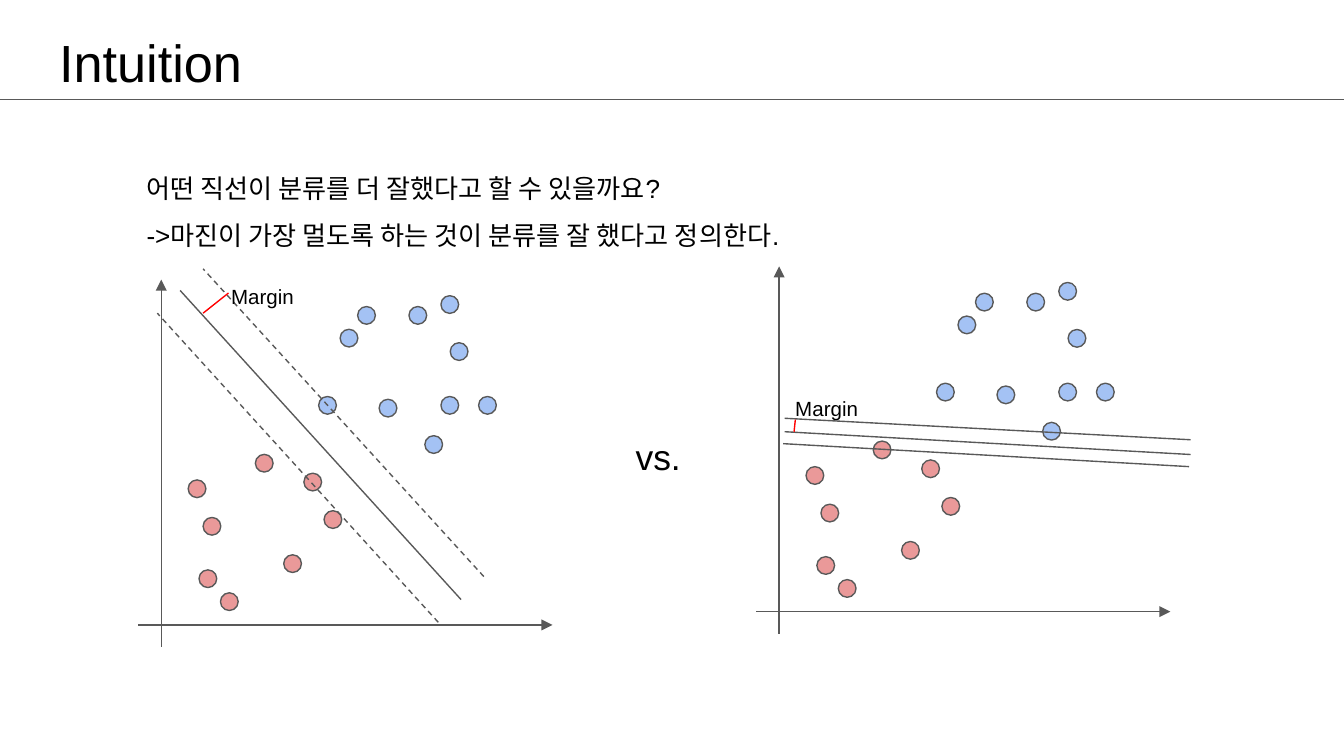
from lxml.etree import SubElement
from pptx import Presentation
from pptx.dml.color import RGBColor
from pptx.enum.dml import MSO_LINE
from pptx.enum.shapes import MSO_CONNECTOR, MSO_SHAPE
from pptx.enum.text import MSO_ANCHOR, MSO_AUTO_SIZE, PP_ALIGN
from pptx.oxml.ns import qn
from pptx.util import Pt

COLORS = {
    "text": "000000",
    "line": "595959",
    "blue": "A4C2F4",
    "red": "EA9999",
    "margin": "FF0000",
}
FONT = "Arial"
INSET = 7.2
DOT = 9.5
PLOT_WIDTH, PLOT_HEIGHT = 221.8, 196.7
X_AXIS_TOP, Y_AXIS_LEFT = 185, 12.2

DOTS = {
    "red": [(26.6, 107.3), (34.6, 127.4), (77.8, 147.4), (62.6, 93.6),
            (32.4, 155.5), (43.9, 167.8), (99.4, 123.8), (88.6, 103.7)],
    "blue": [(117.4, 14.4), (144.9, 14.4), (182.2, 62.6), (162, 62.6),
             (108, 26.6), (128.9, 64.1), (162, 8.6), (96.5, 62.6),
             (153.4, 83.6), (167, 33.8)],
}
WIDE_MARGIN = {
    "boundary": (172.8, 171.4, 22.3, 5.8),
    "edges": [(185, 159.1, 34.6, -5.8), (160.6, 183.6, 10.1, 18)],
    "dash": MSO_LINE.DASH,
    "gap": (34.6, 18, 48.2, 7.2),
    "label": (42.5, -11.5, 50.4, 25.9),
}
NARROW_MARGIN = {
    "boundary": (232.6, 100.8, 15.1, 88.6),
    "edges": [(232.6, 92.9, 15.1, 81.4), (231.8, 107.3, 14.4, 95)],
    "dash": None,
    "gap": (20.2, 88.6, 20.9, 82.1),
    "label": (13.7, 55.4, 58.3, 25.9),
}


def color(key):
    return RGBColor.from_string(COLORS[key])


def add_line(slide, origin, ends, key="line", dash=None, arrow=False):
    left, top = origin
    x1, y1, x2, y2 = ends
    connector = slide.shapes.add_connector(
        MSO_CONNECTOR.STRAIGHT,
        Pt(left + x1), Pt(top + y1), Pt(left + x2), Pt(top + y2))
    connector.line.color.rgb = color(key)
    connector.line.width = Pt(0.75)
    if dash:
        connector.line.dash_style = dash
    if arrow:
        SubElement(connector.line._get_or_add_ln(), qn("a:tailEnd"), type="triangle")
    SubElement(connector._element.spPr, qn("a:effectLst"))


def place_text(holder, box, lines, size, spacing=1.5):
    holder.left, holder.top, holder.width, holder.height = map(Pt, box)
    frame = holder.text_frame
    frame.text = "\n".join(lines)
    frame.word_wrap = True
    frame.auto_size = MSO_AUTO_SIZE.NONE
    frame.vertical_anchor = MSO_ANCHOR.TOP
    frame.margin_left = frame.margin_right = Pt(INSET)
    frame.margin_top = frame.margin_bottom = Pt(INSET)
    for paragraph in frame.paragraphs:
        paragraph.alignment = PP_ALIGN.LEFT
        paragraph.line_spacing = spacing
        paragraph.space_before = paragraph.space_after = Pt(0)
        for run in paragraph.runs:
            run.font.name = FONT
            run.font.size = Pt(size)
            run.font.color.rgb = color("text")


def add_label(slide, box, text, size):
    place_text(slide.shapes.add_textbox(*map(Pt, box)), box, [text], size)


def add_header(slide, box):
    left, top, width, height = box
    place_text(slide.shapes.title, (left + 24.5, top + 5.8, width - 49, height - 8),
               ["Intuition"], 28, 1.1)
    add_line(slide, (left, top), (0, height, width, height))


def add_question(slide, box):
    body = slide.placeholders[1]
    place_text(body, box, ["어떤 직선이 분류를 더 잘했다고 할 수 있을까요?",
                           "->마진이 가장 멀도록 하는 것이 분류를 잘 했다고 정의한다."], 14)
    for paragraph in body.text_frame.paragraphs:
        properties = paragraph._p.get_or_add_pPr()
        properties.set("marL", "0")
        properties.set("indent", "0")
        SubElement(properties, qn("a:buNone"))


def add_plot(slide, origin, classifier):
    left, top = origin
    add_line(slide, origin, (0, X_AXIS_TOP, PLOT_WIDTH, X_AXIS_TOP), arrow=True)
    add_line(slide, origin, (Y_AXIS_LEFT, PLOT_HEIGHT, Y_AXIS_LEFT, 0), arrow=True)
    for key, positions in DOTS.items():
        for x, y in positions:
            dot = slide.shapes.add_shape(
                MSO_SHAPE.OVAL, Pt(left + x), Pt(top + y), Pt(DOT), Pt(DOT))
            dot.shadow.inherit = False
            dot.fill.solid()
            dot.fill.fore_color.rgb = color(key)
            dot.line.color.rgb = color("line")
            dot.line.width = Pt(0.75)
    add_line(slide, origin, classifier["boundary"])
    for edge in classifier["edges"]:
        add_line(slide, origin, edge, dash=classifier["dash"])
    add_line(slide, origin, classifier["gap"], "margin")
    x, y, width, height = classifier["label"]
    add_label(slide, (left + x, top + y, width, height), "Margin", 11)


def main():
    presentation = Presentation()
    presentation.slide_width, presentation.slide_height = Pt(720), Pt(405)
    slide = presentation.slides.add_slide(presentation.slide_layouts[1])
    add_header(slide, (0, 0, 720, 53.3))
    add_question(slide, (71.3, 77, 517.7, 75.6))
    add_plot(slide, (74.2, 149.8), WIDE_MARGIN)
    add_plot(slide, (405.2, 142.7), NARROW_MARGIN)
    add_label(slide, (333.4, 214.6, 44.6, 32.4), "vs.", 19)
    presentation.save("out.pptx")


if __name__ == "__main__":
    main()
